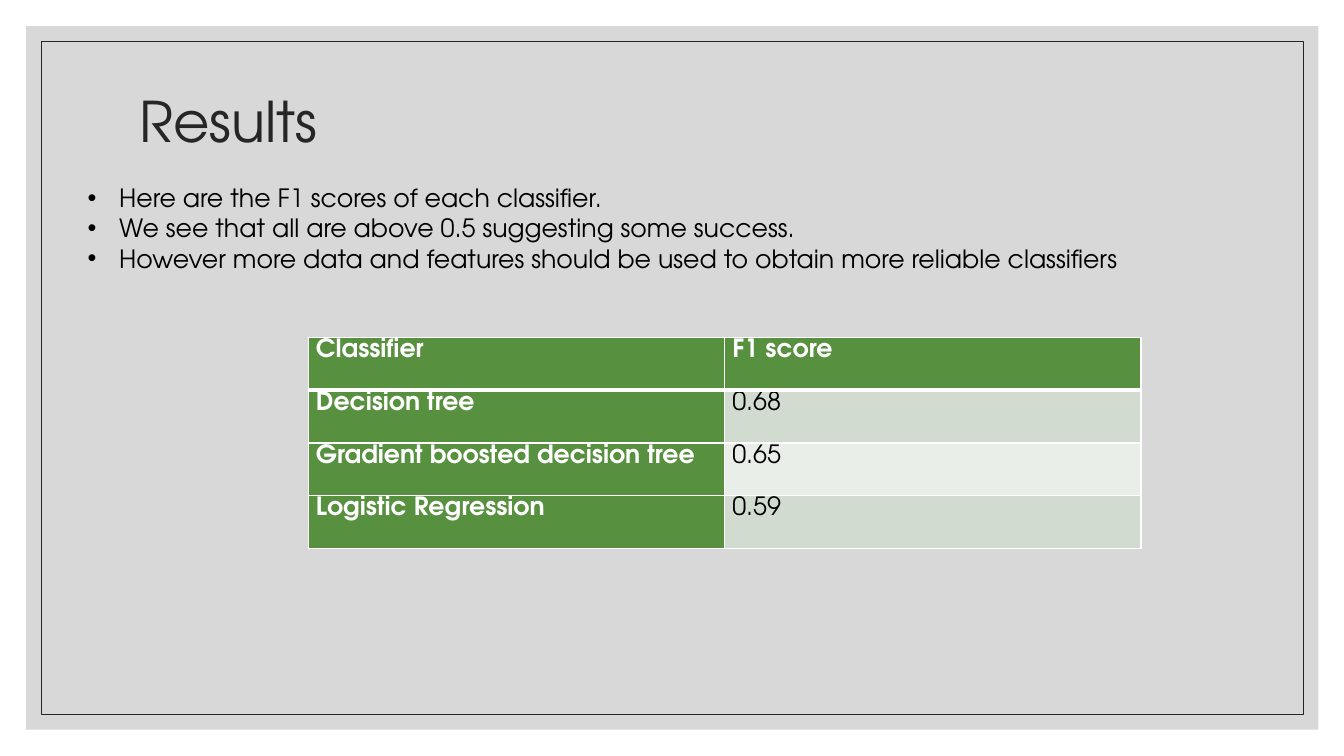
"""Build the results slide with its F1 score table."""
import dataclasses
from typing import Any

import lxml.etree
import pptx
import pptx.dml.color
import pptx.enum.shapes
import pptx.enum.text
import pptx.oxml.ns
import pptx.util

Pt = pptx.util.Pt
FONT = "TeX Gyre Adventor"
WHITE, BLACK, INK, GREEN = "FFFFFF", "000000", "262626", "57903F"
BANDS = ("D1DBCF", "EAEEE8")
BULLETS = (
    "Here are the F1 scores of each classifier.",
    "We see that all are above 0.5 suggesting some success.",
    "However more data and features should be used to obtain more reliable classifiers",
)
SCORES = (
    ("Classifier", "F1 score"),
    ("Decision tree", "0.68"),
    ("Gradient boosted decision tree", "0.65"),
    ("Logistic Regression", "0.59"),
)


@dataclasses.dataclass(frozen=True)
class Frame:
    left: float
    top: float
    width: float
    height: float

    def lengths(self) -> tuple:
        return tuple(Pt(value) for value in dataclasses.astuple(self))


@dataclasses.dataclass(frozen=True)
class Panel:
    frame: Frame
    fill: str = ""
    opacity: int = 100
    line: str = ""


PANELS = (
    Panel(Frame(18.72, 18.72, 923.04, 502.56), fill="BFBFBF", opacity=60),
    Panel(Frame(29.52, 29.52, 901.44, 480.96), line=INK),
)
TITLE = Frame(92.16, 34.56, 792, 108)
LIST = Frame(55.44, 126.72, 768.96, 72.72)
TABLE = Frame(220.32, 241.2, 594.72, 150.48)


def color(code: str) -> pptx.dml.color.RGBColor:
    return pptx.dml.color.RGBColor.from_string(code)


def add_element(parent: Any, tag: str, **attributes: str) -> Any:
    return lxml.etree.SubElement(parent, pptx.oxml.ns.qn(tag), **attributes)


def style_para(para: Any, size: float, code: str, bold: bool = False) -> None:
    for span in para.runs:
        span.font.name = FONT
        span.font.size = Pt(size)
        span.font.bold = bold
        span.font.color.rgb = color(code)


def place(box: Any, frame: Frame) -> None:
    box.left, box.top, box.width, box.height = frame.lengths()


def draw_panel(page: Any, panel: Panel, depth: int) -> None:
    box = page.shapes.add_shape(
        pptx.enum.shapes.MSO_SHAPE.RECTANGLE, *panel.frame.lengths())
    box.shadow.inherit = False
    if panel.fill:
        box.fill.solid()
        box.fill.fore_color.rgb = color(panel.fill)
        tint = box.fill._xPr.find(".//" + pptx.oxml.ns.qn("a:srgbClr"))
        add_element(tint, "a:alpha", val=str(panel.opacity * 1000))
    else:
        box.fill.background()
    if panel.line:
        box.line.color.rgb = color(panel.line)
        box.line.width = Pt(0.5)
    else:
        box.line.fill.background()
    page.shapes._spTree.insert(2 + depth, box._element)


def draw_title(page: Any) -> None:
    box = page.shapes.title
    place(box, TITLE)
    box.text_frame.text = "Results"
    box.text_frame.vertical_anchor = pptx.enum.text.MSO_ANCHOR.MIDDLE
    para = box.text_frame.paragraphs[0]
    para.alignment = pptx.enum.text.PP_ALIGN.LEFT
    para.line_spacing = 0.9
    style_para(para, 40, INK)


def draw_list(page: Any) -> None:
    box = page.placeholders[1]
    place(box, LIST)
    box.text_frame.text = "\n".join(BULLETS)
    box.text_frame.word_wrap = False
    box.text_frame.auto_size = pptx.enum.text.MSO_AUTO_SIZE.SHAPE_TO_FIT_TEXT
    for para in box.text_frame.paragraphs:
        para.space_before = Pt(0)
        style_para(para, 18, BLACK)
        properties = para._p.get_or_add_pPr()
        properties.set("marL", str(Pt(22.5)))
        properties.set("indent", str(-Pt(22.5)))
        add_element(properties, "a:buFont", typeface="Arial")
        add_element(properties, "a:buChar", char="•")


def draw_border(cell: Any, side: str, width: float) -> None:
    line = add_element(cell._tc.get_or_add_tcPr(), "a:ln" + side, w=str(Pt(width)))
    add_element(add_element(line, "a:solidFill"), "a:srgbClr", val=WHITE)


def draw_cell(cell: Any, text: str, row: int, column: int) -> None:
    heading = row == 0 or column == 0
    cell.margin_left = cell.margin_right = Pt(5.4)
    cell.margin_top = cell.margin_bottom = Pt(0)
    widths = {"L": 1, "R": 1, "T": 3 if row == 1 else 1, "B": 3 if row == 0 else 1}
    for side, width in widths.items():
        draw_border(cell, side, width)
    cell.fill.solid()
    cell.fill.fore_color.rgb = color(GREEN if heading else BANDS[(row - 1) % 2])
    cell.text_frame.text = text
    para = cell.text_frame.paragraphs[0]
    para.line_spacing = 1.07
    para.space_after = Pt(8)
    style_para(para, 18, WHITE if heading else BLACK, heading)


def draw_table(page: Any) -> None:
    table = page.shapes.add_table(
        len(SCORES), len(SCORES[0]), *TABLE.lengths()).table
    for row, texts in enumerate(SCORES):
        for column, text in enumerate(texts):
            draw_cell(table.cell(row, column), text, row, column)


def main() -> None:
    deck = pptx.Presentation()
    deck.slide_width, deck.slide_height = Pt(960), Pt(540)
    page = deck.slides.add_slide(deck.slide_layouts[1])
    for depth, panel in enumerate(PANELS):
        draw_panel(page, panel, depth)
    draw_title(page)
    draw_table(page)
    draw_list(page)
    deck.save("out.pptx")


if __name__ == "__main__":
    main()
